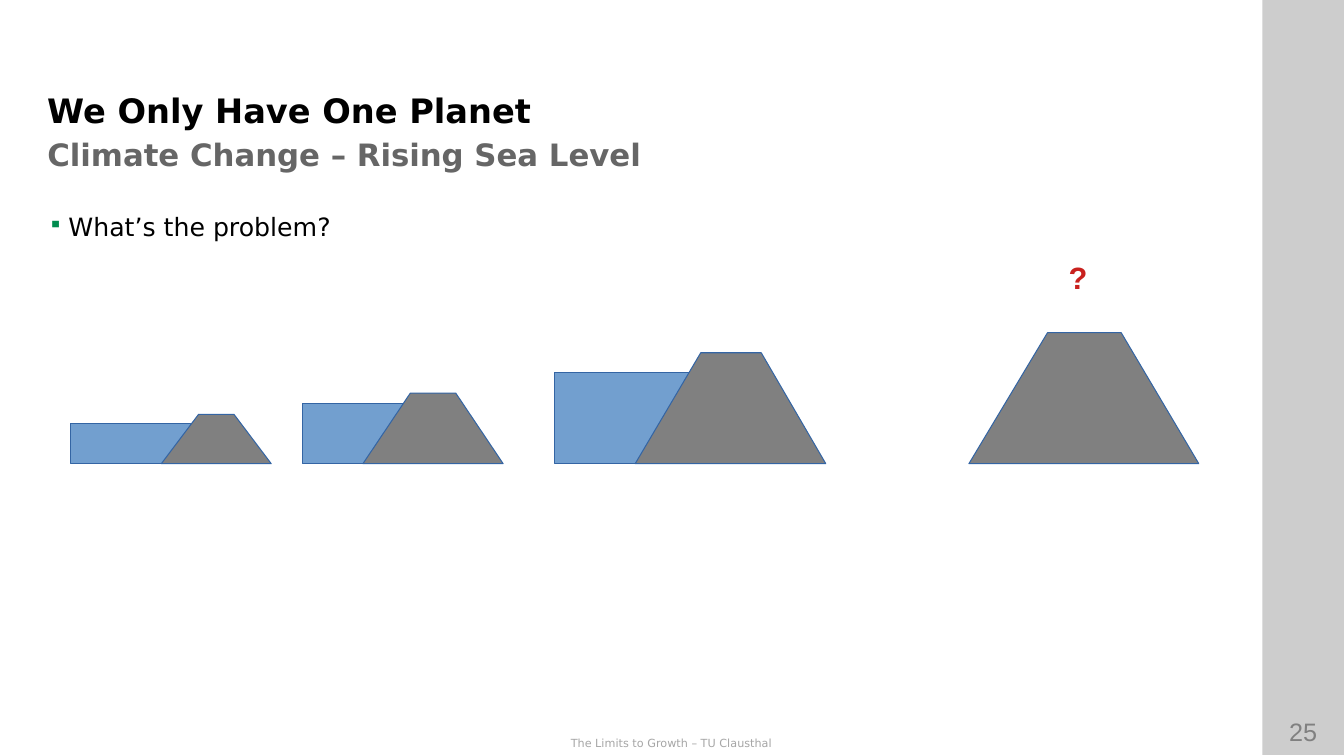
import pptx
import pptx.dml.color
import pptx.enum.shapes
import pptx.enum.text
import pptx.oxml
import pptx.oxml.ns
import pptx.util
from pptx.util import Inches

SANS = "DejaVu Sans"
WATER, DIKE, OUTLINE = "729FCF", "808080", "3465A4"
BASE = 4.6  # ground line shared by water and dikes

# left, top, width of each body of water
WATERS = [(0.7, 4.2, 1.19), (3, 4, 1.19), (5.5, 3.7, 1.49)]
# foot left, crest left, crest right, foot right, crest top
DIKES = [
    (1.6, 1.97, 2.32, 2.69, 4.11),
    (3.6, 4.07, 4.52, 4.99, 3.9),
    (6.3, 6.95, 7.55, 8.19, 3.5),
    (9.61, 10.39, 11.12, 11.89, 3.3),
]


def rgb(hex_color):
    return pptx.dml.color.RGBColor.from_string(hex_color)


def xml_element(tag, **attributes):
    element = pptx.oxml.parse_xml(f"<{tag} {pptx.oxml.ns.nsdecls('a')}/>")
    for name, value in attributes.items():
        element.set(name, value)
    return element


def paint(shape, fill, line=None):
    shape.shadow.inherit = False
    shape.fill.solid()
    shape.fill.fore_color.rgb = rgb(fill)
    if line:
        shape.line.color.rgb = rgb(line)
        shape.line.width = pptx.util.Pt(0.75)
    else:
        shape.line.fill.background()


def add_rectangle(slide, left, top, width, height, fill, line=None):
    rectangle = slide.shapes.add_shape(
        pptx.enum.shapes.MSO_SHAPE.RECTANGLE,
        Inches(left), Inches(top), Inches(width), Inches(height))
    paint(rectangle, fill, line)
    return rectangle


def add_side_band(slide):
    # Two faint black layers add up to the grey band
    for _ in range(2):
        band = add_rectangle(slide, 12.52, 0, 0.81, 7.49, "000000")
        color = band.fill._xPr.find(".//" + pptx.oxml.ns.qn("a:srgbClr"))
        color.append(xml_element("a:alpha", val="10000"))


def add_dike(slide, foot_left, crest_left, crest_right, foot_right, top):
    outline = slide.shapes.build_freeform(Inches(foot_right), Inches(BASE))
    outline.add_line_segments([
        (Inches(foot_left), Inches(BASE)),
        (Inches(crest_left), Inches(top)),
        (Inches(crest_right), Inches(top)),
    ], close=True)
    paint(outline.convert_to_shape(), DIKE, OUTLINE)


def add_text(slide, left, top, width, height, text, size, color,
             font=SANS, bold=False, centered=False):
    box = slide.shapes.add_textbox(
        Inches(left), Inches(top), Inches(width), Inches(height))
    box.text_frame.word_wrap = True
    paragraph = box.text_frame.paragraphs[0]
    if centered:
        paragraph.alignment = pptx.enum.text.PP_ALIGN.CENTER
    run = paragraph.add_run()
    run.text = text
    run.font.name = font
    run.font.size = pptx.util.Pt(size)
    run.font.bold = bold
    run.font.color.rgb = rgb(color)
    return box.text_frame


def add_bullet(paragraph, color):
    properties = paragraph._p.get_or_add_pPr()
    properties.set("marL", str(Inches(0.21)))
    properties.set("indent", str(Inches(-0.2)))
    bullet_color = xml_element("a:buClr")
    bullet_color.append(xml_element("a:srgbClr", val=color))
    properties.append(bullet_color)
    properties.append(xml_element("a:buSzPct", val="80000"))
    properties.append(xml_element("a:buChar", char="▪"))


def main():
    presentation = pptx.Presentation()
    presentation.slide_width = Inches(13.33)
    presentation.slide_height = Inches(7.5)
    slide = presentation.slides.add_slide(presentation.slide_layouts[6])

    # Side band, page number and footer
    add_side_band(slide)
    add_text(slide, 12.51, 7.06, 0.83, 0.4, "25", 18, "808080",
             font="Arial", centered=True)
    add_text(slide, 0, 7.26, 13.32, 0.23, "The Limits to Growth – TU Clausthal",
             8, "A6A6A6", centered=True)

    # Headings
    add_text(slide, 0.37, 0.84, 11.75, 0.54, "We Only Have One Planet",
             24, "000000", bold=True)
    subtitle = add_text(slide, 0.47, 1.26, 11.32, 0.54,
                        "Climate Change – Rising Sea Level",
                        22, "666666", bold=True)
    subtitle.margin_left = subtitle.margin_right = 0
    subtitle.margin_top = subtitle.margin_bottom = 0
    subtitle.vertical_anchor = pptx.enum.text.MSO_ANCHOR.MIDDLE

    # Question
    question = add_text(slide, 0.37, 2.05, 11.75, 4.84, "What’s the problem?",
                        18, "000000")
    add_bullet(question.paragraphs[0], "008C4F")

    # Rising water behind ever higher dikes
    for left, top, width in WATERS:
        add_rectangle(slide, left, top, width, BASE - top, WATER, OUTLINE)
    for dike in DIKES:
        add_dike(slide, *dike)
    add_text(slide, 10.5, 2.52, 0.29, 0.43, "?", 22, "C9211E",
             font="Arial", bold=True)

    presentation.save("out.pptx")


if __name__ == "__main__":
    main()
